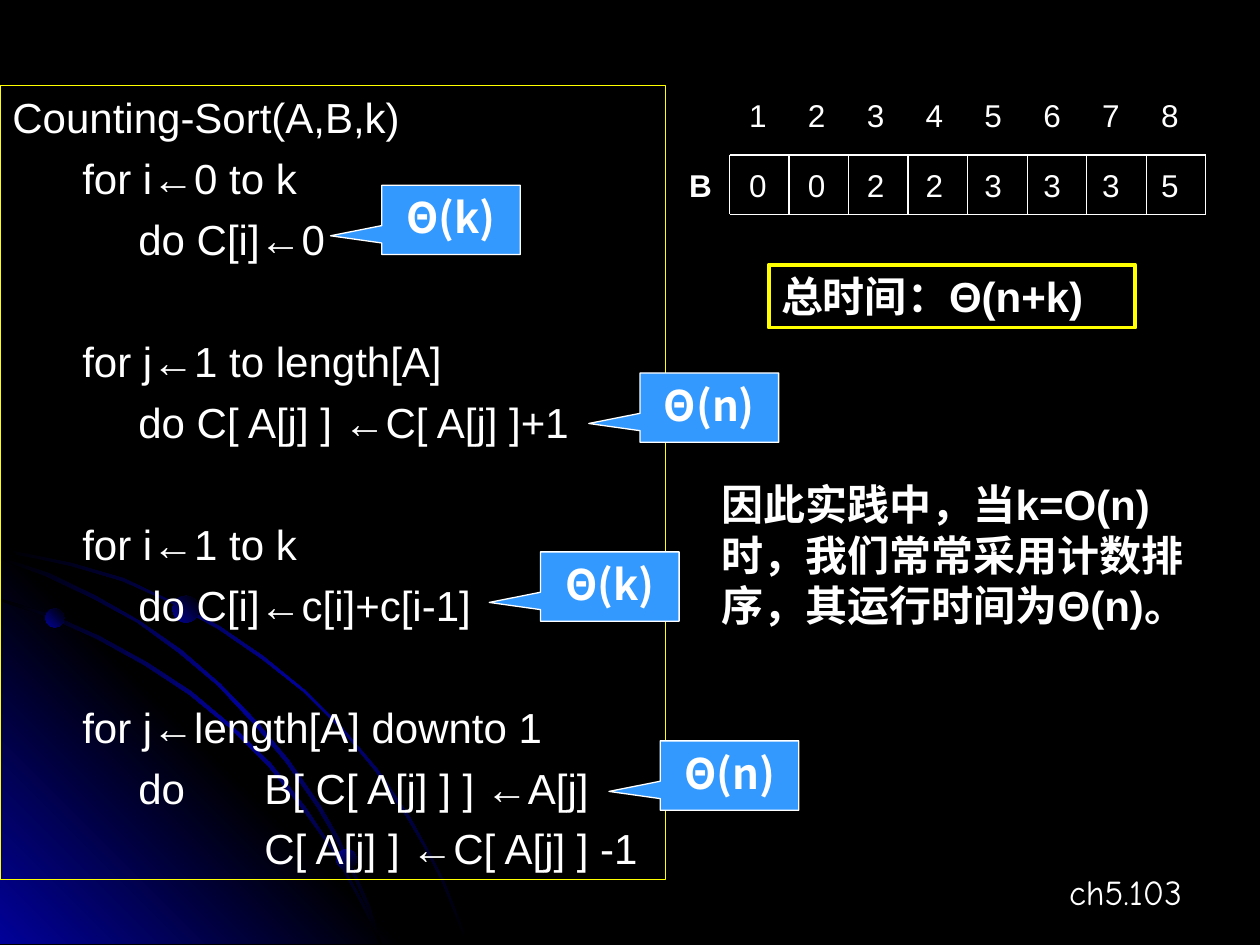
from lxml.etree import SubElement
from pptx import Presentation
from pptx.dml.color import RGBColor as RGB
from pptx.enum.shapes import MSO_CONNECTOR as LINK, MSO_SHAPE as SHAPE
from pptx.enum.text import MSO_ANCHOR as ANCHOR, PP_ALIGN as ALIGN
from pptx.oxml.ns import qn
from pptx.util import Emu, Pt

UNIT = 9144
COLS, ROWS = 1000, 750
BLACK = RGB(0x00, 0x00, 0x00)
NAVY = RGB(0x01, 0x01, 0x99)
WHITE = RGB(0xFF, 0xFF, 0xFF)
YELLOW = RGB(0xFF, 0xFF, 0x00)
BLUE = RGB(0x33, 0x99, 0xFF)
SANS, HAND, HAN = "Arial", "Comic Neue", "Noto Sans CJK SC"

GLOW = [BLACK, NAVY, BLACK]
FADE = [NAVY, BLACK]
ARC_TOP = [
    (57, 447), (28, 441), (0, 435), (0, 438), (28, 443), (56, 449),
    (97, 461), (135, 478), (173, 499), (208, 523), (241, 549), (271, 579),
    (298, 612), (323, 649), (337, 673), (350, 698), (360, 723), (370, 749),
    (372, 749), (362, 723), (352, 698), (339, 673), (325, 648), (300, 611),
    (272, 578), (242, 548), (209, 521), (174, 497), (136, 477), (98, 459)]
CORNER = [(322, 749), (0, 749), (0, 427)]
ARC_LOW = [
    (285, 714), (294, 732), (301, 749), (303, 749), (296, 730), (286, 712),
    (266, 676), (242, 640), (215, 606), (184, 576), (152, 549), (117, 526),
    (79, 505), (41, 488), (0, 475), (0, 477), (39, 490), (77, 507),
    (115, 528), (150, 551), (183, 578), (213, 608), (240, 642), (265, 677)]
ARC_MID = [
    (0, 442), (0, 444), (36, 457), (74, 475), (109, 494), (142, 518),
    (173, 544), (202, 575), (227, 605), (252, 641), (267, 667), (280, 694),
    (292, 722), (301, 749), (303, 749), (294, 720), (282, 693), (269, 665),
    (254, 639), (229, 603), (204, 573), (175, 543), (144, 516), (111, 493),
    (76, 473), (39, 455)]
CODE = [
    ["Counting-Sort(A,B,k)", "      for i←0 to k", "\tdo C[i]←0"],
    ["      for j←1 to length[A]", "\tdo C[ A[j] ] ←C[ A[j] ]+1"],
    ["      for i←1 to k", "\tdo C[i]←c[i]+c[i-1]"],
    ["      for j←length[A] downto 1", "\tdo \tB[ C[ A[j] ] ] ←A[j]",
     "\t\tC[ A[j] ] ←C[ A[j] ] -1"],
]
COSTS = [("Θ(k)", 303, 147), ("Θ(n)", 508, 296),
         ("Θ(k)", 429, 438), ("Θ(n)", 524, 588)]


def span(*box):
    return [Emu(round(n * UNIT)) for n in box]


def blend(shape, hues, turn):
    shape.shadow.inherit = False
    shape.line.fill.background()
    shape.fill.gradient()
    grad = shape.fill._xPr.find(qn("a:gradFill"))
    stops = grad.find(qn("a:gsLst"))
    for stop in list(stops):
        stops.remove(stop)
    for i, hue in enumerate(hues):
        stop = SubElement(stops, qn("a:gs"),
                          pos=str(100000 * i // (len(hues) - 1)))
        SubElement(stop, qn("a:srgbClr"), val=str(hue))
    grad.find(qn("a:lin")).set("ang", str(turn * 60000))


def write(para, text, size=24, font=SANS, bold=False, align=ALIGN.LEFT):
    para.alignment = align
    para._p.get_or_add_pPr().set("hangingPunct", "0")
    run = para.add_run()
    run.text = text
    face = run.font
    face.size, face.name, face.bold = Pt(size), font, bold
    face.color.rgb = WHITE
    SubElement(run._r.get_or_add_rPr(), qn("a:ea"), typeface=HAN)


def prep(shape, pad=True):
    frame = shape.text_frame
    frame.word_wrap = True
    frame.vertical_anchor = ANCHOR.TOP
    if not pad:
        frame.margin_left = frame.margin_right = 0
        frame.margin_top = frame.margin_bottom = 0
    return frame.paragraphs[0]


def label(slide, box, text, pad=True, **look):
    write(prep(slide.shapes.add_textbox(*span(*box)), pad), text, **look)


def panel(slide, box, kind, edge, width, fill=None):
    shape = slide.shapes.add_shape(kind, *span(*box))
    shape.shadow.inherit = False
    shape.line.color.rgb = edge
    shape.line.width = Pt(width)
    if fill is None:
        shape.fill.background()
    else:
        shape.fill.solid()
        shape.fill.fore_color.rgb = fill
    return shape


def rule(slide, *ends):
    line = slide.shapes.add_connector(LINK.STRAIGHT, *span(*ends))
    line.line.color.rgb = WHITE
    line.line.width = Pt(0.75)
    SubElement(line._element.spPr, qn("a:effectLst"))


def backdrop(slide):
    slide.background.fill.solid()
    slide.background.fill.fore_color.rgb = BLACK
    for dots, hues, turn in [(ARC_TOP, GLOW, 45),
                             (CORNER, [NAVY, BLACK, NAVY], 315),
                             (ARC_LOW, GLOW, 45), (ARC_MID, GLOW, 45)]:
        form = slide.shapes.build_freeform(*dots[0], scale=UNIT)
        form.add_line_segments(dots[1:], close=True)
        blend(form.convert_to_shape(), hues, turn)
    for left, top, size, turn in [(36, 483, 15, 315), (267, 674, 16, 45),
                                  (137, 473, 21, 315)]:
        ball = slide.shapes.add_shape(SHAPE.OVAL, *span(left, top, size, size))
        blend(ball, FADE, turn)


def listing(slide, box):
    para = prep(panel(slide, box, SHAPE.RECTANGLE, YELLOW, 0.75))
    frame = para._parent
    for b, block in enumerate(CODE):
        for n, text in enumerate(block):
            if b or n:
                para = frame.add_paragraph()
                para.space_before = Pt(6 if n else 40.86)
            tabs = SubElement(para._p.get_or_add_pPr(), qn("a:tabLst"))
            for stop in span(100, 200):
                SubElement(tabs, qn("a:tab"), pos=str(int(stop)), algn="l")
            write(para, text)


def array(slide, box, name, items):
    left, top, wide, high = box
    step = wide / len(items)
    for y in (top, top + high):
        rule(slide, left, y, left + wide, y)
    for i in range(len(items) + 1):
        x = left + i * step
        rule(slide, x, top, x, top + high)
    label(slide, (left - 32, top + 9, 24, 30), name, False, size=18, bold=True)
    for i, item in enumerate(items):
        x = left + 10.5 + i * 46.7
        for text, y in ((str(i + 1), top - 46.5), (item, top + 8.5)):
            label(slide, (x, y, 24, 30), text, False, size=18,
                  align=ALIGN.CENTER)


def cost(slide, box, text):
    shape = panel(slide, box, SHAPE.RECTANGULAR_CALLOUT, WHITE, 0.75, BLUE)
    shape.adjustments[0], shape.adjustments[1] = -0.87, 0.23
    write(prep(shape), text, font=HAN, bold=True, align=ALIGN.CENTER)


def total(slide, box, text):
    write(prep(panel(slide, box, SHAPE.RECTANGLE, YELLOW, 2.25)),
          text, bold=True)


def main():
    deck = Presentation()
    deck.slide_width, deck.slide_height = span(COLS, ROWS)
    slide = deck.slides.add_slide(deck.slide_layouts[6])
    backdrop(slide)
    label(slide, (720, 686, 228, 44), "ch5.103", size=20, font=HAND,
          align=ALIGN.RIGHT)
    listing(slide, (0, 68, 528, 630))
    array(slide, (579, 123, 378, 47), "B", "00223335")
    for text, left, top in COSTS:
        cost(slide, (left, top, 110, 55), text)
    total(slide, (610, 210, 291, 50), "总时间：Θ(n+k)")
    label(slide, (563, 375, 410, 130),
          "因此实践中，当k=O(n)时，我们常常采用计数排序，其运行时间为Θ(n)。",
          bold=True)
    deck.save("out.pptx")


if __name__ == "__main__":
    main()
